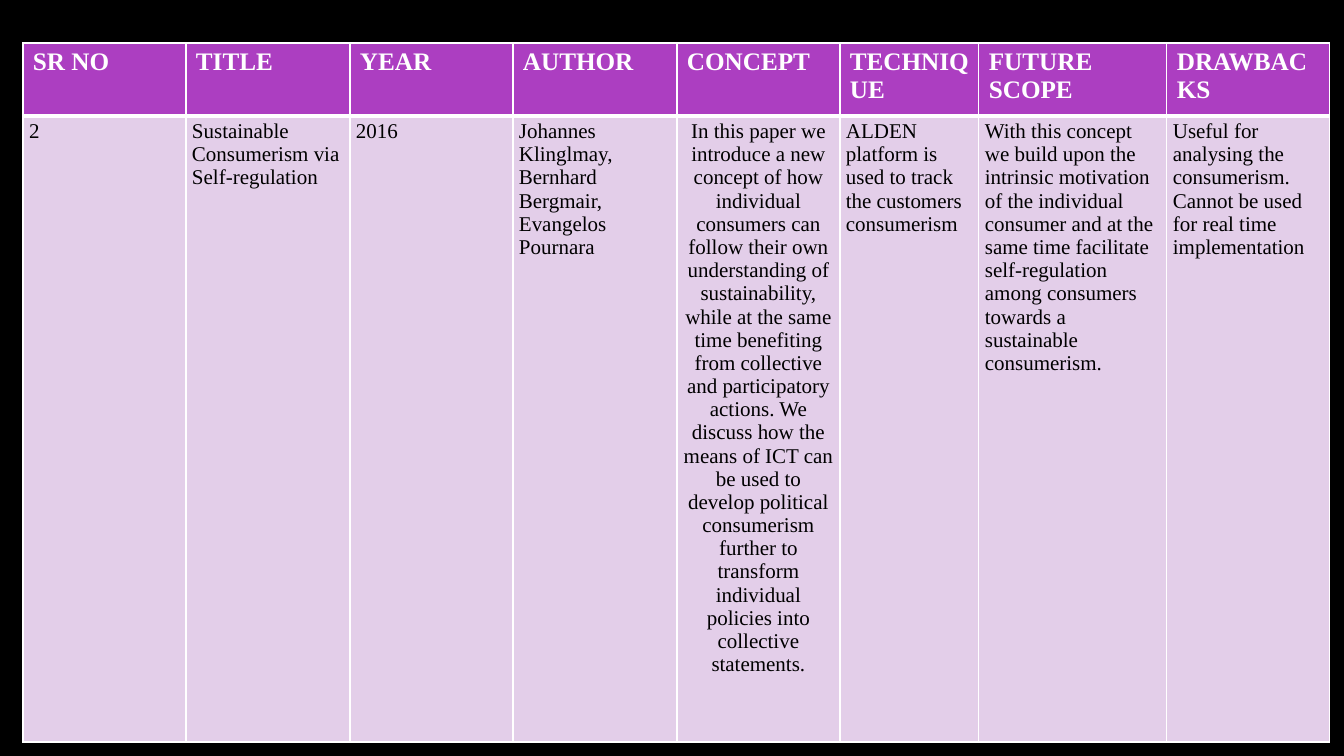
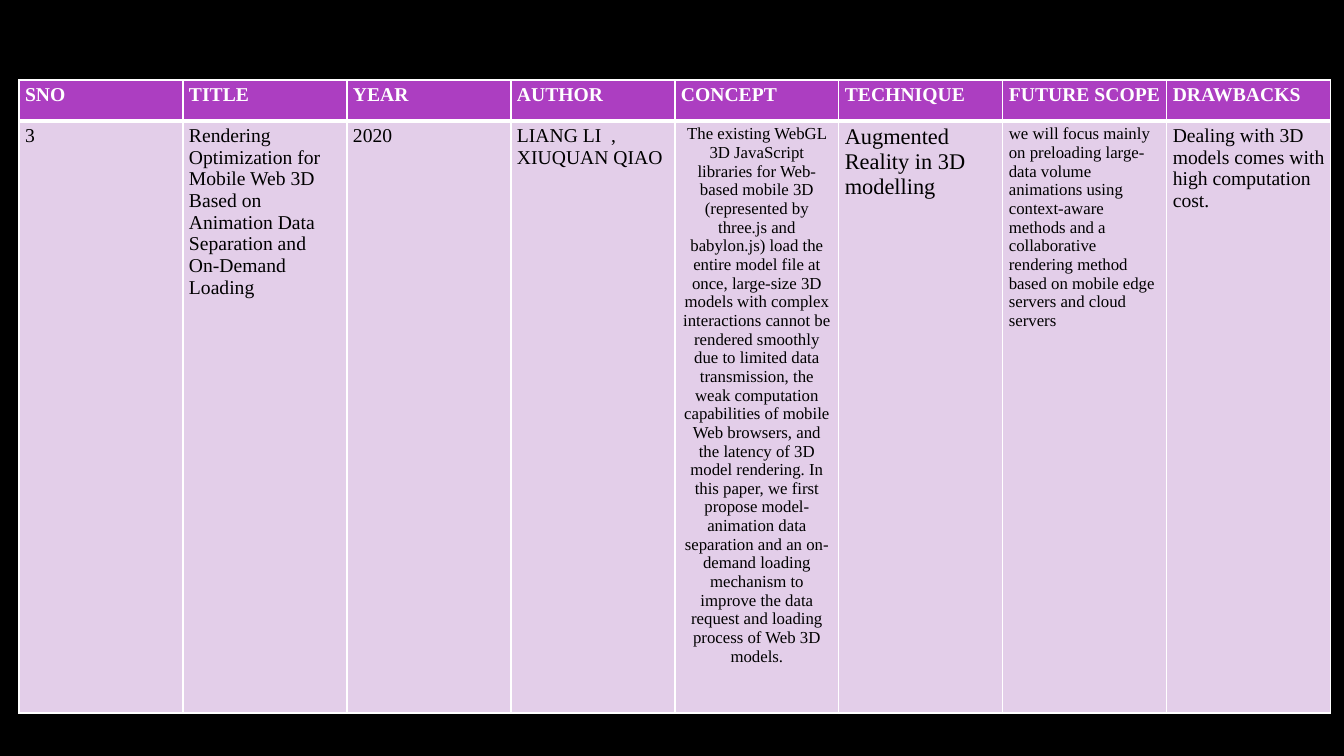
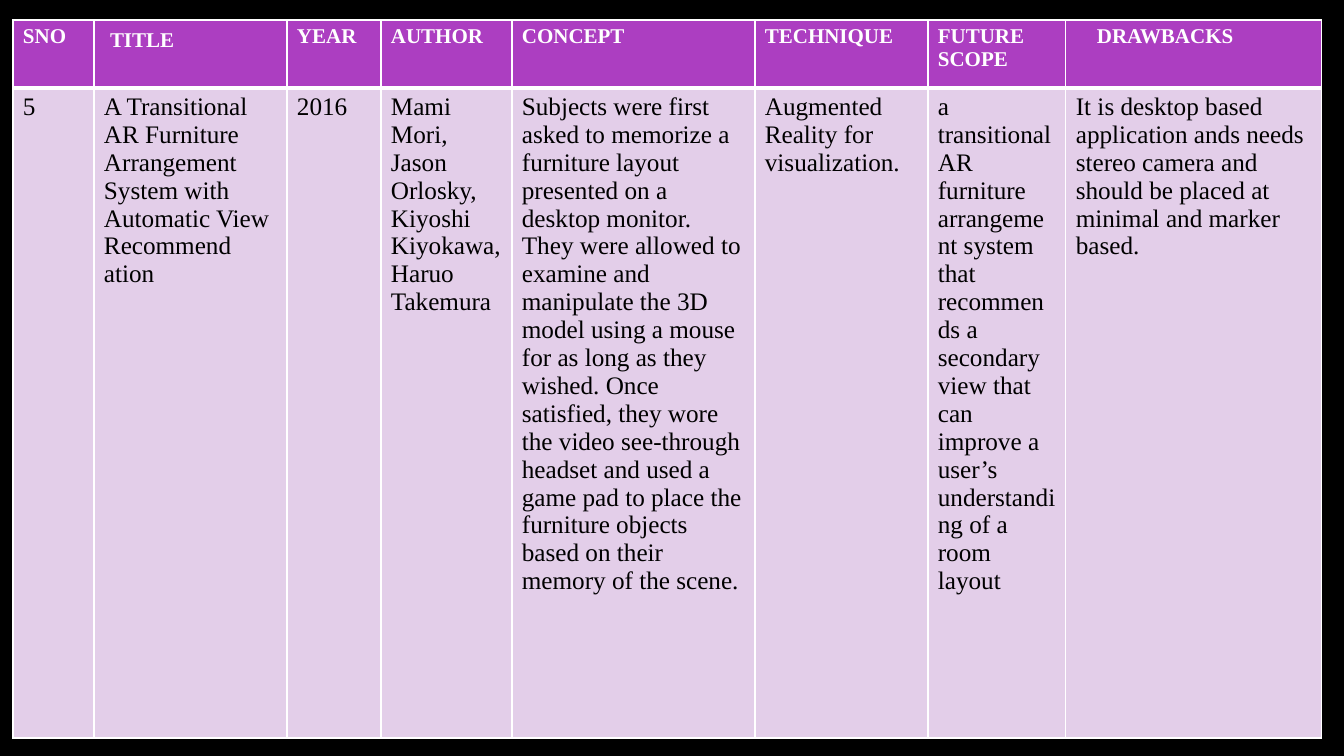
from lxml.etree import SubElement
from pptx import Presentation
from pptx.dml.color import RGBColor
from pptx.enum.text import PP_ALIGN
from pptx.oxml.ns import qn
from pptx.util import Emu, Pt

EMU_PER_PX = 914400 / 100.8
COLUMNS = ("NO", "TITLE", "YEAR", "AUTHOR", "CONCEPT", "TECHNIQUE",
           "FUTURE SCOPE", "DRAWBACKS")
NARROW = (6, 4)
WIDE = (10, 5)


def px(length):
    return Emu(round(length * EMU_PER_PX))


def color(hex_string):
    return RGBColor.from_string(hex_string)


class SurveyDeck:
    FONT = "Times New Roman"
    BACKGROUND = "000000"
    HEADER_FILL = "AC3EC1"
    HEADER_TEXT = "FFFFFF"
    BODY_FILL = "E3CEE9"
    BODY_TEXT = "000000"
    RULE = "FFFFFF"
    THIN, THICK = 1, 3

    def __init__(self):
        self.presentation = Presentation()
        self.presentation.slide_width = px(1344)
        self.presentation.slide_height = px(756)
        self.slide = None

    def add_slide(self):
        blank = self.presentation.slide_layouts[6]
        self.slide = self.presentation.slides.add_slide(blank)
        background = self.slide.background.fill
        background.solid()
        background.fore_color.rgb = color(self.BACKGROUND)

    def add_grid(self, left, top, widths, heights):
        grid = self.slide.shapes.add_table(
            len(heights), len(widths), px(left), px(top),
            px(sum(widths)), px(sum(heights))).table
        grid.first_row = grid.horz_banding = False
        for column, width in zip(grid.columns, widths):
            column.width = px(width)
        for row, height in zip(grid.rows, heights):
            row.height = px(height)
        return grid

    def rule_cell(self, cell, top, bottom):
        """Draw the four borders; top and bottom are widths in points."""
        properties = cell._tc.get_or_add_tcPr()
        for side, width in (("L", self.THIN), ("R", self.THIN),
                            ("T", top), ("B", bottom)):
            line = SubElement(properties, qn(f"a:ln{side}"), w=str(Pt(width)))
            fill = SubElement(line, qn("a:solidFill"))
            SubElement(fill, qn("a:srgbClr"), val=self.RULE)

    def fill_cell(self, cell, text, size, margins, header=False,
                  centered=False, offset=(0, 0)):
        """Write and style one cell; offset moves its text right and down."""
        if header:
            self.rule_cell(cell, self.THIN, self.THICK)
        else:
            self.rule_cell(cell, self.THICK, self.THIN)
        cell.fill.solid()
        cell.fill.fore_color.rgb = color(
            self.HEADER_FILL if header else self.BODY_FILL)
        side, edge = margins
        cell.margin_left, cell.margin_right = px(side + offset[0]), px(side)
        cell.margin_top, cell.margin_bottom = px(edge + offset[1]), px(edge)
        cell.text_frame.text = text
        for paragraph in cell.text_frame.paragraphs:
            paragraph.alignment = PP_ALIGN.CENTER if centered else PP_ALIGN.LEFT
            for run in paragraph.runs:
                run.font.name = self.FONT
                run.font.size = Pt(size)
                run.font.bold = header
                run.font.color.rgb = color(
                    self.HEADER_TEXT if header else self.BODY_TEXT)

    def add_paper(self, origin, widths, heights, headings, entry,
                  header_size, body_size, header_margins, body_margins,
                  body_sizes=None, centered=(), header_offsets=None):
        """Add a slide whose table describes one paper.

        headings replaces column names where they differ; body_sizes,
        centered and header_offsets refer to columns by name.
        """
        self.add_slide()
        grid = self.add_grid(*origin, widths, heights)
        for index, (name, text) in enumerate(zip(COLUMNS, entry)):
            self.fill_cell(grid.cell(0, index), headings.get(name, name),
                           header_size, header_margins, header=True,
                           offset=(header_offsets or {}).get(name, (0, 0)))
            self.fill_cell(grid.cell(1, index), text,
                           (body_sizes or {}).get(name, body_size),
                           body_margins, centered=name in centered)

    def save(self):
        self.presentation.save("out.pptx")


def main():
    deck = SurveyDeck()
    deck.add_paper(
        origin=(23, 43),
        widths=(163, 164, 163, 164, 163, 139, 188, 163),
        heights=(73, 626),
        headings={"NO": "SR NO"},
        entry=(
            "2",
            "Sustainable Consumerism via Self-regulation",
            "2016",
            "Johannes Klinglmay, Bernhard Bergmair, Evangelos Pournara",
            "In this paper we introduce a new concept of how individual "
            "consumers can follow their own understanding of sustainability, "
            "while at the same time benefiting from collective and "
            "participatory actions. We discuss how the means of ICT can be "
            "used to develop political consumerism further to transform "
            "individual policies into collective statements.",
            "ALDEN platform is used to track the customers  consumerism",
            "With this concept we build upon the intrinsic motivation of the "
            "individual consumer and at the same time facilitate "
            "self-regulation among consumers towards a sustainable "
            "consumerism.",
            "Useful for analysing the consumerism. Cannot be used for real "
            "time implementation",
        ),
        header_size=18, body_size=15,
        header_margins=WIDE, body_margins=NARROW,
        centered=("CONCEPT",))
    deck.add_paper(
        origin=(19, 80),
        widths=(164,) * len(COLUMNS),
        heights=(41, 592),
        headings={"NO": "SNO"},
        entry=(
            "3",
            "Rendering Optimization for Mobile Web 3D Based on Animation Data "
            "Separation and On-Demand Loading",
            "2020",
            "LIANG LI  , XIUQUAN QIAO",
            "The existing WebGL 3D JavaScript libraries for Web-based mobile "
            "3D (represented by three.js and babylon.js) load the entire "
            "model file at once, large-size 3D models with complex "
            "interactions cannot be rendered smoothly due to limited data "
            "transmission, the weak computation capabilities of mobile Web "
            "browsers, and the latency of 3D model rendering. In this paper, "
            "we first propose model-animation data separation and an "
            "on-demand loading mechanism to improve the data request and "
            "loading process of Web 3D models.",
            "Augmented Reality in 3D modelling",
            "we will focus mainly on preloading large-data volume animations "
            "using context-aware methods and a collaborative rendering method "
            "based on mobile edge servers and cloud servers",
            "Dealing with 3D models comes with high computation cost.",
        ),
        header_size=14, body_size=14,
        header_margins=NARROW, body_margins=NARROW,
        body_sizes={"CONCEPT": 12, "TECHNIQUE": 16, "FUTURE SCOPE": 12},
        centered=("CONCEPT",))
    deck.add_paper(
        origin=(13, 20),
        widths=(81, 193, 94, 131, 243, 173, 138, 256),
        heights=(68, 650),
        headings={"NO": "SNO", "FUTURE SCOPE": "FUTURE\nSCOPE"},
        entry=(
            "5",
            "A Transitional AR Furniture Arrangement System with Automatic "
            "View Recommend ation",
            "2016",
            "Mami Mori, Jason Orlosky, Kiyoshi Kiyokawa, Haruo Takemura",
            "Subjects were first asked to memorize a furniture layout "
            "presented on a desktop monitor. They were allowed to examine and "
            "manipulate the 3D model using a mouse for as long as they "
            "wished. Once satisfied, they wore the video see-through headset "
            "and used a game pad to place the furniture objects based on "
            "their memory of the scene.",
            "Augmented Reality for visualization.",
            "a transitional AR furniture arrangement system that recommends a "
            "secondary view that can improve a user’s understanding of a room "
            "layout",
            "It is desktop based application ands needs stereo camera and "
            "should be placed at minimal and marker based.",
        ),
        header_size=15, body_size=18,
        header_margins=WIDE, body_margins=WIDE,
        header_offsets={"TITLE": (6, 4), "DRAWBACKS": (21, 0)})
    deck.save()


if __name__ == "__main__":
    main()
